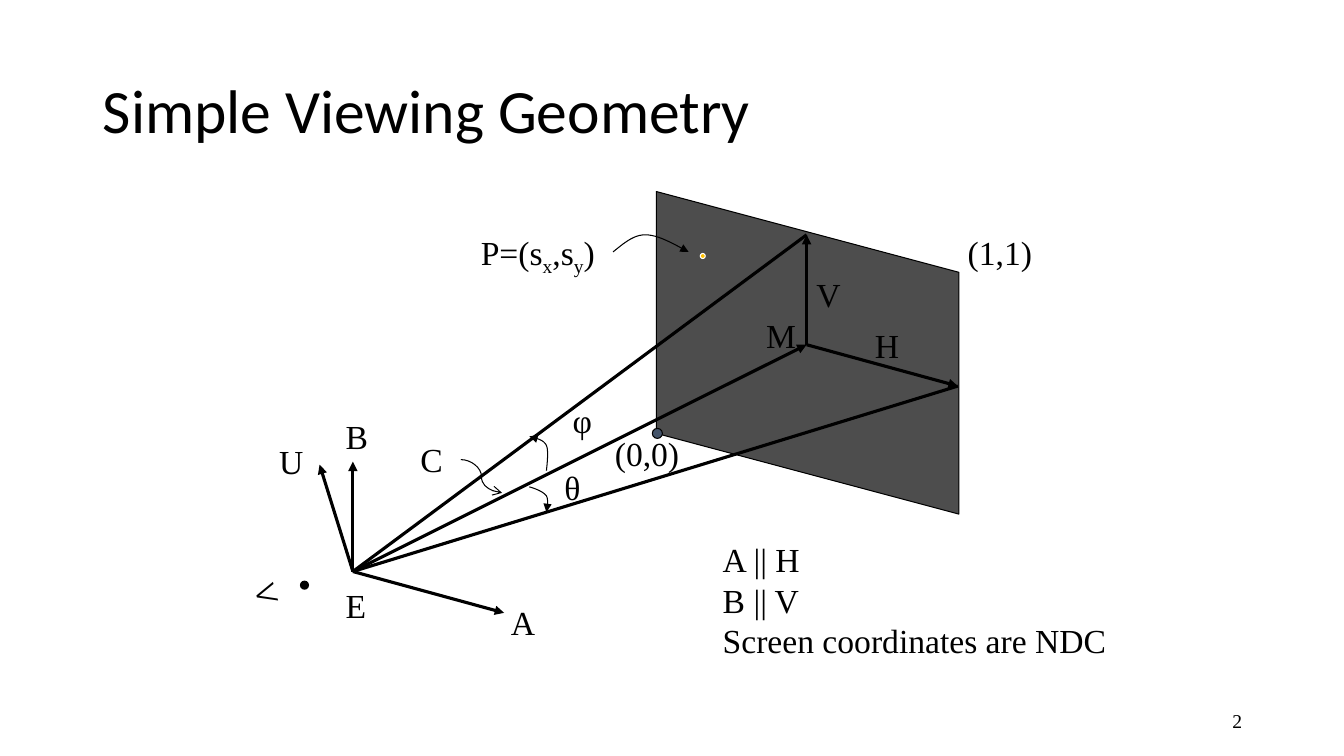
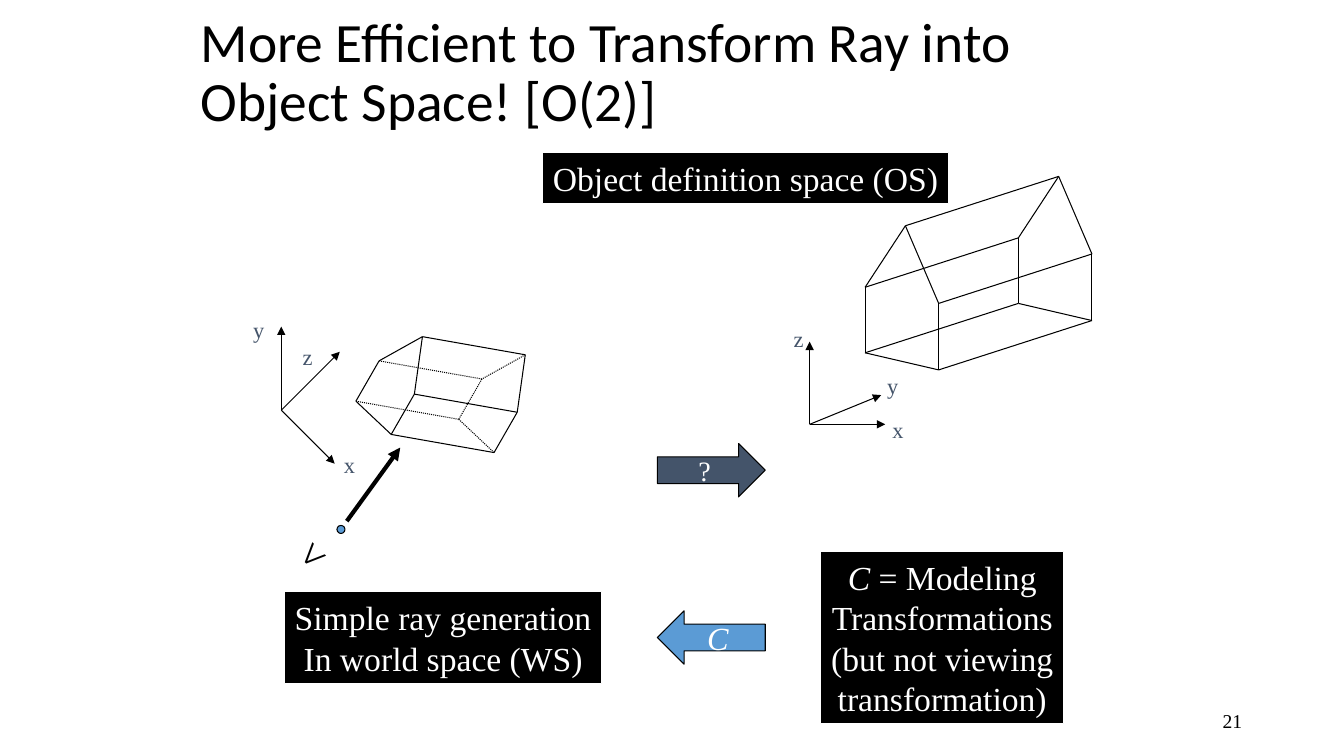
import math

import pptx
import pptx.dml.color
import pptx.enum.dml
import pptx.enum.shapes
import pptx.enum.text
import pptx.oxml
import pptx.oxml.ns
import pptx.util
from lxml import etree

Inches = pptx.util.Inches
Pt = pptx.util.Pt
SHAPE = pptx.enum.shapes.MSO_SHAPE
CONNECTOR = pptx.enum.shapes.MSO_CONNECTOR
ALIGN = pptx.enum.text.PP_ALIGN
ANCHOR = pptx.enum.text.MSO_ANCHOR
AUTO_SIZE = pptx.enum.text.MSO_AUTO_SIZE
qn = pptx.oxml.ns.qn

BLACK, WHITE, GREY = "000000", "FFFFFF", "4D4D4D"
SLATE, BLUE, GOLD = "44546A", "5B9BD5", "FFC000"
TITLE_FONT, BODY_FONT, EYE_FONT = "Calibri", "Times New Roman", "Montserrat"
THIN, BOLD, RAY = 0.75, 2.25, 3


def rgb(color):
    return pptx.dml.color.RGBColor.from_string(color)


def style_line(shape, width=THIN, color=BLACK, tip=None):
    """Set the outline; tip is an arrowhead type for the far end."""
    shape.line.color.rgb = rgb(color)
    shape.line.width = Pt(width)
    if tip:
        ln = shape.element.spPr.find(qn("a:ln"))
        etree.SubElement(ln, qn("a:tailEnd"), type=tip)


def write(shape, paragraphs, size=24, color=BLACK, align=ALIGN.LEFT,
          font=BODY_FONT, wrap=False, grow=True, anchor=ANCHOR.TOP):
    """Fill a shape; a paragraph is a string or a list of (text, style)."""
    frame = shape.text_frame
    frame.word_wrap = wrap
    frame.auto_size = AUTO_SIZE.SHAPE_TO_FIT_TEXT if grow else AUTO_SIZE.NONE
    frame.vertical_anchor = anchor
    for index, content in enumerate(paragraphs):
        paragraph = frame.add_paragraph() if index else frame.paragraphs[0]
        paragraph.alignment = align
        paragraph.font.name = font
        paragraph.font.size = Pt(size)
        paragraph.font.color.rgb = rgb(color)
        runs = [(content, "")] if isinstance(content, str) else content
        for text, style in runs:
            run = paragraph.add_run()
            run.text = text
            if style == "italic":
                run.font.italic = True
            elif style == "sub":
                run.font.size = Pt(size)
                shape.element.findall(".//" + qn("a:rPr"))[-1].set("baseline", "-25000")


def add_text(slide, box, paragraphs, **style):
    text = slide.shapes.add_textbox(*map(Inches, box))
    write(text, paragraphs, **style)
    return text


def add_labels(slide, left, top, labels, **style):
    """Place (text, dx, dy, width) labels from a corner."""
    for text, dx, dy, width in labels:
        add_text(slide, (left + dx, top + dy, width, 0.5), [text], **style)


def add_solid(slide, kind, box, fill, outline=BLACK):
    solid = slide.shapes.add_shape(kind, *map(Inches, box))
    solid.shadow.inherit = False
    solid.fill.solid()
    solid.fill.fore_color.rgb = rgb(fill)
    style_line(solid, color=outline)
    return solid


def add_dot(slide, x, y, size, fill, outline=BLACK):
    add_solid(slide, SHAPE.OVAL, (x - size / 2, y - size / 2, size, size), fill, outline)


def add_line(slide, start, end, width=THIN, tip=None, dotted=False,
             kind=CONNECTOR.STRAIGHT):
    line = slide.shapes.add_connector(kind, *map(Inches, (*start, *end)))
    if dotted:
        line.line.dash_style = pptx.enum.dml.MSO_LINE.ROUND_DOT
    style_line(line, width, tip=tip)
    etree.SubElement(line.element.spPr, qn("a:effectLst"))


def add_arrows(slide, origin, vectors, width=THIN):
    x, y = origin
    for dx, dy in vectors:
        add_line(slide, origin, (x + dx, y + dy), width, "triangle")


def add_arc(slide, left, top, *curves, steps=12):
    """Draw an arrow along cubic curves; points are offsets from the corner."""
    points = [curves[0][0]]
    for a, b, c, d in curves:
        for step in range(1, steps + 1):
            t = step / steps
            weights = ((1 - t) ** 3, 3 * t * (1 - t) ** 2, 3 * t * t * (1 - t), t ** 3)
            points.append(tuple(
                sum(w * p[axis] for w, p in zip(weights, (a, b, c, d))) for axis in (0, 1)))
    outline = [(Inches(left + x), Inches(top + y)) for x, y in points]
    builder = slide.shapes.build_freeform(*outline[0])
    builder.add_line_segments(outline[1:], close=False)
    arc = builder.convert_to_shape()
    arc.shadow.inherit = False
    arc.fill.background()
    style_line(arc, tip="triangle")


def add_eye(slide, left, top, turn, pupil):
    """Draw an outlined V turned by some degrees, with a dot in front of it."""
    width, height, reach = 0.22, 0.4, 0.36
    lids = add_text(slide, (left, top, width, height), ["V"], size=20,
                    align=ALIGN.CENTER, font=EYE_FONT, grow=False)
    lids.rotation = turn
    run = lids.text_frame.paragraphs[0].runs[0]
    run.font.size = Pt(20)
    outline = etree.Element(qn("a:ln"), w=str(Pt(THIN)))
    fill = etree.SubElement(outline, qn("a:solidFill"))
    etree.SubElement(fill, qn("a:srgbClr"), val=BLACK)
    lids.element.find(".//" + qn("a:rPr")).insert(0, outline)
    gaze = math.radians(turn - 88)
    add_dot(slide, left + width / 2 + reach * math.cos(gaze),
            top + height / 2 + reach * math.sin(gaze), 0.08, pupil)


def add_titled_slide(deck, title, box, size, number):
    slide = deck.slides.add_slide(deck.slide_layouts[5])
    heading = slide.shapes.title
    heading.left, heading.top, heading.width, heading.height = map(Inches, box)
    write(heading, [title], size=size, font=TITLE_FONT, wrap=True,
          grow=False, anchor=ANCHOR.MIDDLE)
    heading.text_frame.paragraphs[0].line_spacing = 0.9
    add_text(slide, (9.42, 6.95, 3, 0.4), [str(number)], size=14,
             align=ALIGN.RIGHT, wrap=True, grow=False, anchor=ANCHOR.MIDDLE)
    return slide


def add_screen(slide, left, top):
    """Draw the screen plane with its half axes H and V around M."""
    width, height = 3, 3.2
    plane = add_solid(slide, SHAPE.PARALLELOGRAM,
                      (left + (width - height) / 2, top + (height - width) / 2,
                       height, width), GREY)
    plane.adjustments[0] = 0.267
    plane.rotation = 270
    add_arrows(slide, (left + 1.49, top + 1.52), [(0, -1.09), (1.5, 0.41)], BOLD)
    add_labels(slide, left, top, [
        ("V", 1.49, 0.77, 0.44), ("H", 2.07, 1.27, 0.44), ("M", 0.99, 1.18, 0.5),
        ("(0,0)", -0.51, 2.35, 0.84), ("(1,1)", 2.99, 0.35, 0.84),
        ([("P=(s", ""), ("x", "sub"), (",s", ""), ("y", "sub"), (")", "")],
         -1.84, 0.35, 1.38)])
    add_arc(slide, left - 0.43, top + 0.43,
            ((0, 0.17), (0.1, 0.09), (0.2, 0), (0.32, 0)),
            ((0.32, 0), (0.45, 0), (0.6, 0.09), (0.75, 0.17)))
    add_dot(slide, left + 0.46, top + 0.64, 0.05, GOLD, WHITE)
    add_dot(slide, left + 0.01, top + 2.4, 0.1, SLATE)


def add_camera(slide, x, y):
    """Draw the camera at E: its axes, sight lines and opening angles."""
    for dx, dy in ((4.5, -3.34), (6, -1.84)):
        add_line(slide, (x, y), (x + dx, y + dy), BOLD)
    add_arrows(slide, (x, y), [(4.5, -2.25), (0, -1.09), (1.5, 0.41), (-0.33, -1.06)], BOLD)
    add_labels(slide, x, y, [
        ("U", -0.83, -1.34, 0.44), ("B", -0.17, -1.59, 0.42), ("A", 1.47, 0.25, 0.44),
        ("E", -0.17, 0.08, 0.4), ("C", 0.57, -1.36, 0.43),
        ("θ", 2, -1.09, 0.36), ("φ", 2.08, -1.75, 0.39)])
    add_arc(slide, x + 1.75, y - 0.84,
            ((0, 0), (0.07, 0.02), (0.14, 0.05), (0.17, 0.09)),
            ((0.17, 0.09), (0.19, 0.13), (0.18, 0.19), (0.17, 0.25)))
    add_arc(slide, x + 1.75, y - 1.34,
            ((0.17, 0.34), (0.18, 0.24), (0.19, 0.14), (0.17, 0.09)),
            ((0.17, 0.09), (0.14, 0.03), (0.07, 0.02), (0, 0)))
    add_line(slide, (x + 1.07, y - 1.11), (x + 1.48, y - 0.78), tip="arrow",
             kind=CONNECTOR.CURVE)
    add_eye(slide, x - 0.94, y + 0.02, 74.4, BLACK)


def add_house(slide, left, top, gable, depth, hidden=()):
    """Draw a gable and its shifted twin; edges at hidden back corners are dotted."""
    front = [(left + x, top + y) for x, y in gable]
    back = [(x + depth[0], y + depth[1]) for x, y in front]
    for corner in range(len(gable)):
        following = (corner + 1) % len(gable)
        add_line(slide, front[corner], front[following])
        add_line(slide, back[corner], back[following],
                 dotted=corner in hidden or following in hidden)
        add_line(slide, front[corner], back[corner], dotted=corner in hidden)


def add_axes(slide, x, y, vectors, names):
    add_arrows(slide, (x, y), vectors)
    add_labels(slide, x, y, names, size=16, color=SLATE, align=ALIGN.CENTER)


def add_caption(slide, box, paragraphs, wrap=False):
    write(add_solid(slide, SHAPE.RECTANGLE, box, BLACK, WHITE), paragraphs,
          color=WHITE, align=ALIGN.CENTER, wrap=wrap, anchor=ANCHOR.MIDDLE)


def add_block_arrow(slide, kind, top, fill, content, size):
    write(add_solid(slide, kind, (6.52, top, 1.07, 0.53), fill), [content], size=size,
          color=WHITE, align=ALIGN.CENTER, grow=False, anchor=ANCHOR.MIDDLE)


def add_viewing_slide(deck):
    slide = add_titled_slide(deck, "Simple Viewing Geometry", (0.92, 0.4, 11.5, 1.45), 44, 2)
    add_screen(slide, 6.51, 1.9)
    add_camera(slide, 3.5, 5.67)
    add_text(slide, (7.07, 5.3, 4.04, 1.31),
             ["A || H", "B || V", "Screen coordinates are NDC"])


def add_transform_slide(deck):
    slide = add_titled_slide(
        deck, "More Efficient to Transform Ray into Object Space! [O(2)]",
        (1.89, 0.11, 9.61, 1.25), 39.6, 21)
    add_house(slide, 8.58, 2.24,
              [(0.4, 0), (0, 0.61), (0, 1.26), (0.73, 1.43), (0.73, 0.77)], (1.52, -0.49))
    add_axes(slide, 8.03, 4.21, [(0.71, -0.29), (0.75, 0), (0, -0.82)],
             [("x", 0.72, -0.13, 0.31), ("y", 0.67, -0.57, 0.31), ("z", -0.26, -1.03, 0.3)])
    add_house(slide, 3.53, 3.34,
              [(0.66, 0), (0.23, 0.24), (0, 0.64), (0.35, 0.97), (0.58, 0.57)],
              (1.02, 0.18), hidden=(1, 2))
    add_axes(slide, 2.79, 4.07, [(0, -0.83), (0.53, 0.53), (0.58, -0.58)],
             [("x", 0.52, 0.36, 0.31), ("y", -0.38, -0.98, 0.31), ("z", 0.11, -0.71, 0.3)])
    add_eye(slide, 3.01, 5.3, 44.6, BLUE)
    add_line(slide, (3.44, 5.17), (3.97, 4.44), RAY, "triangle")
    add_caption(slide, (5.38, 1.51, 4.03, 0.51), ["Object definition space (OS)"])
    add_caption(slide, (8.14, 5.47, 2.41, 1.71),
                [[("C", "italic"), (" = Modeling", "")], "Transformations",
                 "(but not viewing transformation)"], wrap=True)
    add_caption(slide, (2.82, 5.87, 3.15, 0.91),
                ["Simple ray generation", "In world space (WS)"])
    add_block_arrow(slide, SHAPE.RIGHT_ARROW, 4.4, SLATE, "?", 20)
    add_block_arrow(slide, SHAPE.LEFT_ARROW, 6.06, BLUE, [("C", "italic")], 23)


def main():
    deck = pptx.Presentation()
    deck.slide_width, deck.slide_height = Inches(13.33), Inches(7.5)
    add_viewing_slide(deck)
    add_transform_slide(deck)
    deck.save("out.pptx")


if __name__ == "__main__":
    main()
